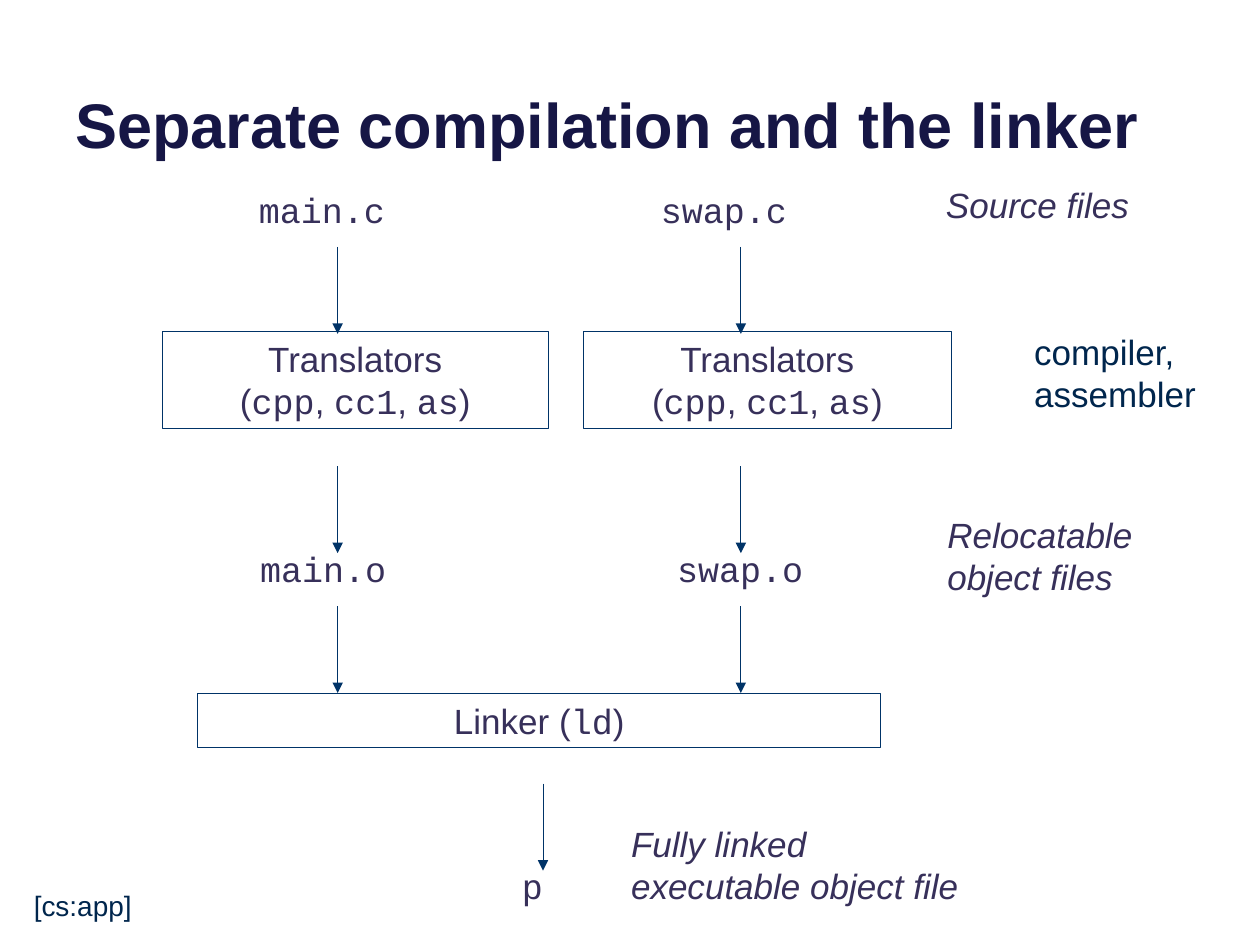
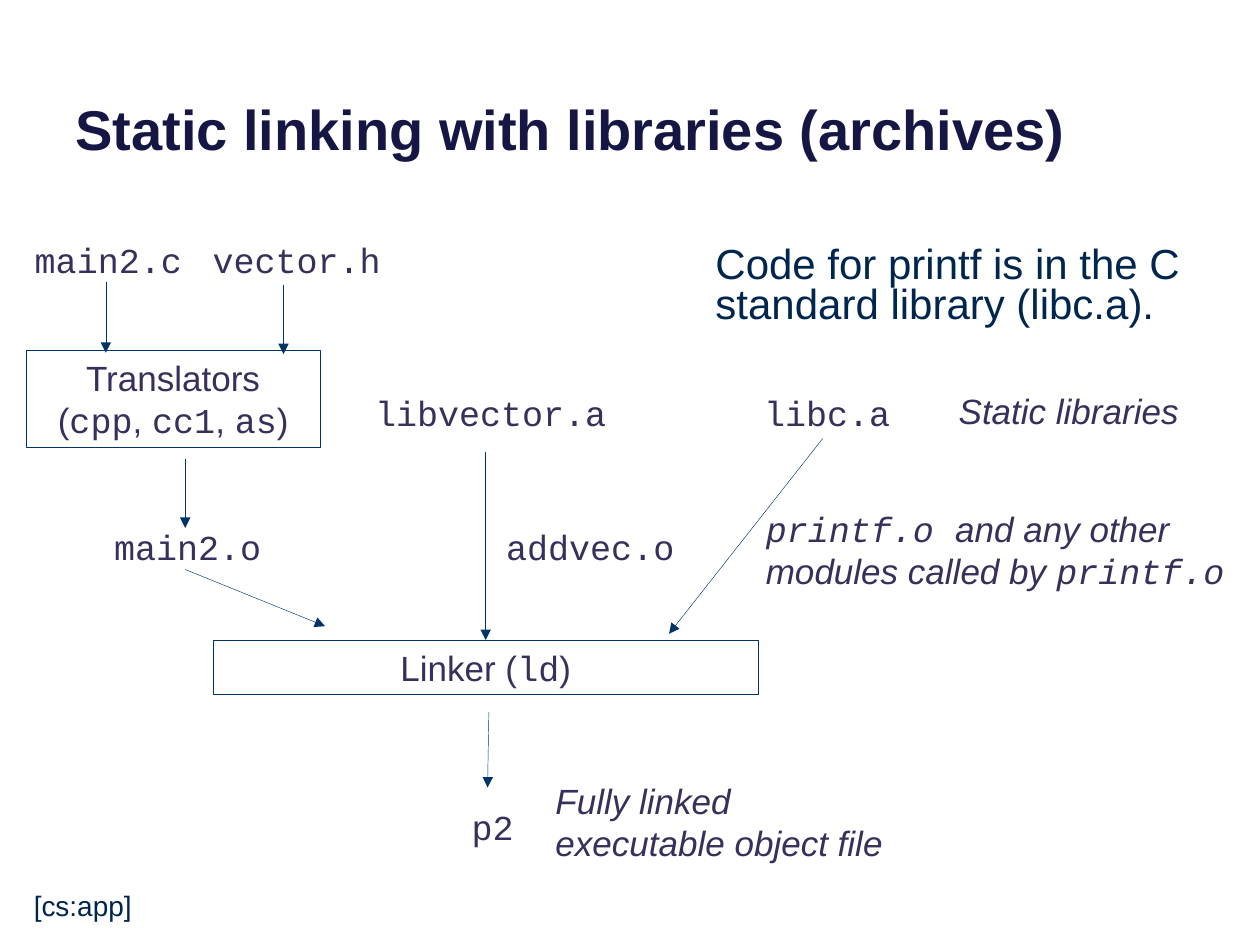
"""Build two slides on separate compilation and static linking."""
from dataclasses import dataclass
from typing import NamedTuple, Optional

import pptx
import pptx.dml.color
import pptx.enum.shapes
import pptx.enum.text
import pptx.oxml
import pptx.oxml.ns
import pptx.util

RGBColor = pptx.dml.color.RGBColor
Align = pptx.enum.text.PP_ALIGN

TITLE_NAVY = RGBColor(0x16, 0x16, 0x45)
DIAGRAM_PURPLE = RGBColor(0x37, 0x30, 0x5A)
NOTE_NAVY = RGBColor(0x00, 0x26, 0x4D)
LINE_BLUE = RGBColor(0x00, 0x33, 0x67)

SANS = "Arial"
MONO = "Courier New"

SLIDE_WIDTH = pptx.util.Inches(10)
SLIDE_HEIGHT = pptx.util.Inches(7.5)
COLUMNS = 100
ROWS = 75
ONE_LINE = 4.4
TWO_LINES = 7.7
TOP_SIDE = 0


class Span(NamedTuple):
    text: str
    font: str = SANS
    color: RGBColor = DIAGRAM_PURPLE
    size: int = 20
    italic: bool = False
    bold: bool = False


Lines = tuple[tuple[Span, ...], ...]


class Area(NamedTuple):
    left: float
    top: float
    width: float
    height: float


@dataclass(frozen=True)
class Label:
    area: Area
    lines: Lines
    align: Align = Align.LEFT
    wrap: bool = False
    line_spacing: Optional[float] = None
    space_before: float = 0


@dataclass(frozen=True)
class Box:
    area: Area
    lines: Lines


class Arrow(NamedTuple):
    start: tuple[float, float]
    end: tuple[float, float]
    target: Optional[Box] = None


@dataclass(frozen=True)
class Diagram:
    title: str
    title_size: int
    stroke: float
    boxes: tuple[Box, ...]
    labels: tuple[Label, ...]
    arrows: tuple[Arrow, ...]


def across(columns: float) -> int:
    return round(SLIDE_WIDTH * columns / COLUMNS)


def down(rows: float) -> int:
    return round(SLIDE_HEIGHT * rows / ROWS)


def place(area: Area) -> tuple[int, int, int, int]:
    return across(area.left), down(area.top), across(area.width), down(area.height)


def code(text: str, italic: bool = False) -> Span:
    return Span(text, MONO, italic=italic)


def file_name(left: float, top: float, width: float, name: str) -> Label:
    return Label(Area(left, top, width, ONE_LINE), ((code(name),),), Align.CENTER)


def caption(left: float, top: float, width: float, *texts: str) -> Label:
    height = ONE_LINE if len(texts) == 1 else TWO_LINES
    lines = tuple((Span(text, italic=True),) for text in texts)
    return Label(Area(left, top, width, height), lines)


def executable_caption(left: float, top: float) -> Label:
    return caption(left, top, 28.8, "Fully linked", "executable object file")


def translators(left: float, top: float, width: float) -> Box:
    tools = (Span("("), code("cpp"), Span(", "), code("cc1"), Span(", "), code("as"), Span(")"))
    return Box(Area(left, top, width, TWO_LINES), ((Span("Translators"),), tools))


def linker(left: float, top: float, width: float) -> Box:
    return Box(Area(left, top, width, 4.3), ((Span("Linker ("), code("ld"), Span(")")),))


def write(frame: pptx.text.text.TextFrame, lines: Lines, align: Align) -> None:
    for index, spans in enumerate(lines):
        para = frame.add_paragraph() if index else frame.paragraphs[0]
        para.alignment = align
        for span in spans:
            run = para.add_run()
            run.text = span.text
            run.font.name = span.font
            run.font.size = pptx.util.Pt(span.size)
            run.font.italic = span.italic
            run.font.bold = span.bold
            run.font.color.rgb = span.color


def draw_title(page: pptx.slide.Slide, title: str, size: int) -> None:
    frame = page.shapes.add_textbox(*place(Area(5, -3.7, 90, 17))).text_frame
    frame.word_wrap = True
    frame.vertical_anchor = pptx.enum.text.MSO_ANCHOR.BOTTOM
    write(frame, ((Span(title, color=TITLE_NAVY, size=size, bold=True),),), Align.LEFT)


def draw_label(page: pptx.slide.Slide, label: Label) -> None:
    frame = page.shapes.add_textbox(*place(label.area)).text_frame
    frame.word_wrap = label.wrap
    frame.auto_size = pptx.enum.text.MSO_AUTO_SIZE.SHAPE_TO_FIT_TEXT
    write(frame, label.lines, label.align)
    for para in frame.paragraphs:
        para.space_before = pptx.util.Pt(label.space_before)
        if label.line_spacing:
            para.line_spacing = pptx.util.Pt(label.line_spacing)


def draw_box(page: pptx.slide.Slide, box: Box, stroke: float) -> pptx.shapes.autoshape.Shape:
    shape = page.shapes.add_shape(pptx.enum.shapes.MSO_SHAPE.RECTANGLE, *place(box.area))
    shape.shadow.inherit = False
    shape.fill.background()
    shape.line.color.rgb = LINE_BLUE
    shape.line.width = pptx.util.Pt(stroke)
    frame = shape.text_frame
    frame.word_wrap = True
    frame.vertical_anchor = pptx.enum.text.MSO_ANCHOR.TOP
    write(frame, box.lines, Align.CENTER)
    return shape


def draw_arrow(page: pptx.slide.Slide, arrow: Arrow, stroke: float) -> pptx.shapes.connector.Connector:
    (start_x, start_y), (end_x, end_y) = arrow.start, arrow.end
    line = page.shapes.add_connector(
        pptx.enum.shapes.MSO_CONNECTOR.STRAIGHT,
        across(start_x), down(start_y), across(end_x), down(end_y),
    )
    line.line.color.rgb = LINE_BLUE
    line.line.width = pptx.util.Pt(stroke)
    head = pptx.oxml.parse_xml(f'<a:tailEnd {pptx.oxml.ns.nsdecls("a")} type="triangle"/>')
    line.line._get_or_add_ln().append(head)
    no_shadow = pptx.oxml.parse_xml(f'<a:effectLst {pptx.oxml.ns.nsdecls("a")}/>')
    line._element.spPr.append(no_shadow)
    return line


def draw_diagram(deck: pptx.presentation.Presentation, diagram: Diagram) -> None:
    page = deck.slides.add_slide(deck.slide_layouts[6])
    draw_title(page, diagram.title, diagram.title_size)
    shapes = {box: draw_box(page, box, diagram.stroke) for box in diagram.boxes}
    for arrow in diagram.arrows:
        line = draw_arrow(page, arrow, diagram.stroke)
        if arrow.target:
            line.end_connect(shapes[arrow.target], TOP_SIDE)
    for label in (*diagram.labels, CREDIT):
        draw_label(page, label)


CREDIT = Label(Area(1.7, 70, 9.9, 3.7), ((Span("[cs:app]", color=NOTE_NAVY, size=16),),))

FILE_COLUMNS = (26.8, 58.8)
STEP_ROWS = (19.6, 37, 48.1)
STEP_LENGTH = 6.9

SEPARATE_COMPILATION = Diagram(
    title="Separate compilation and the linker",
    title_size=36,
    stroke=0.5,
    boxes=(translators(12.9, 26.3, 30.6), translators(46.3, 26.3, 29.2), linker(15.7, 55, 54.2)),
    labels=(
        file_name(19.5, 14.5, 12.1, "main.c"),
        file_name(51.4, 14.5, 12.1, "swap.c"),
        file_name(19.6, 43, 12.1, "main.o"),
        file_name(52.7, 43, 12.1, "swap.o"),
        file_name(40.4, 68.1, 3.7, "p"),
        caption(74.1, 14.1, 17.3, "Source files"),
        caption(74.2, 40.3, 17.4, "Relocatable", "object files"),
        executable_caption(49.1, 64.8),
        Label(
            Area(81.1, 25.7, 15, TWO_LINES),
            tuple((Span(text, color=NOTE_NAVY),) for text in ("compiler,", "assembler")),
        ),
    ),
    arrows=(
        *(
            Arrow((column, row), (column, row + STEP_LENGTH))
            for column in FILE_COLUMNS
            for row in STEP_ROWS
        ),
        Arrow((43.1, 62.2), (43.1, 62.2 + STEP_LENGTH)),
    ),
)

LIBRARY_LINKER = linker(16.9, 50.8, 43.3)
LINKER_CENTER = LIBRARY_LINKER.area.left + LIBRARY_LINKER.area.width / 2

STATIC_LINKING = Diagram(
    title="Static linking with libraries (archives)",
    title_size=32,
    stroke=0.25,
    boxes=(translators(2.1, 27.8, 23.3), LIBRARY_LINKER),
    labels=(
        file_name(1.7, 18.4, 13.8, "main2.c"),
        file_name(15.8, 18.4, 15.5, "vector.h"),
        file_name(8, 41.2, 13.8, "main2.o"),
        file_name(28.7, 30.6, 20.5, "libvector.a"),
        file_name(39.1, 41.2, 15.5, "addvec.o"),
        file_name(59.6, 30.6, 12.1, "libc.a"),
        file_name(36.4, 63.4, 5.4, "p2"),
        caption(75.1, 30.4, 20.2, "Static libraries"),
        executable_caption(43.1, 61.4),
        Label(
            Area(59.8, 39.8, 39.4, TWO_LINES),
            (
                (code("printf.o ", italic=True), Span("and any other", italic=True)),
                (Span("modules called by ", italic=True), code("printf.o", italic=True)),
            ),
        ),
        Label(
            Area(55.8, 19.2, 39.4, 7.5),
            ((Span("Code for printf is in the C standard library (libc.a).", color=NOTE_NAVY, size=24),),),
            wrap=True,
            line_spacing=22.8,
            space_before=9,
        ),
    ),
    arrows=(
        Arrow((8.4, 22.4), (8.4, 28)),
        Arrow((22.5, 22.6), (22.5, 28.1)),
        Arrow((14.7, 36.4), (14.7, 41.9)),
        Arrow((14.7, 45.2), (25.8, 49.7)),
        Arrow((LINKER_CENTER, 35.9), (LINKER_CENTER, 50.8), LIBRARY_LINKER),
        Arrow((65.3, 34.8), (53.1, 50.3)),
        Arrow((38.8, 56.5), (38.7, 62.5)),
    ),
)


def main() -> None:
    deck = pptx.Presentation()
    deck.slide_width = SLIDE_WIDTH
    deck.slide_height = SLIDE_HEIGHT
    for diagram in (SEPARATE_COMPILATION, STATIC_LINKING):
        draw_diagram(deck, diagram)
    deck.save("out.pptx")


if __name__ == "__main__":
    main()
